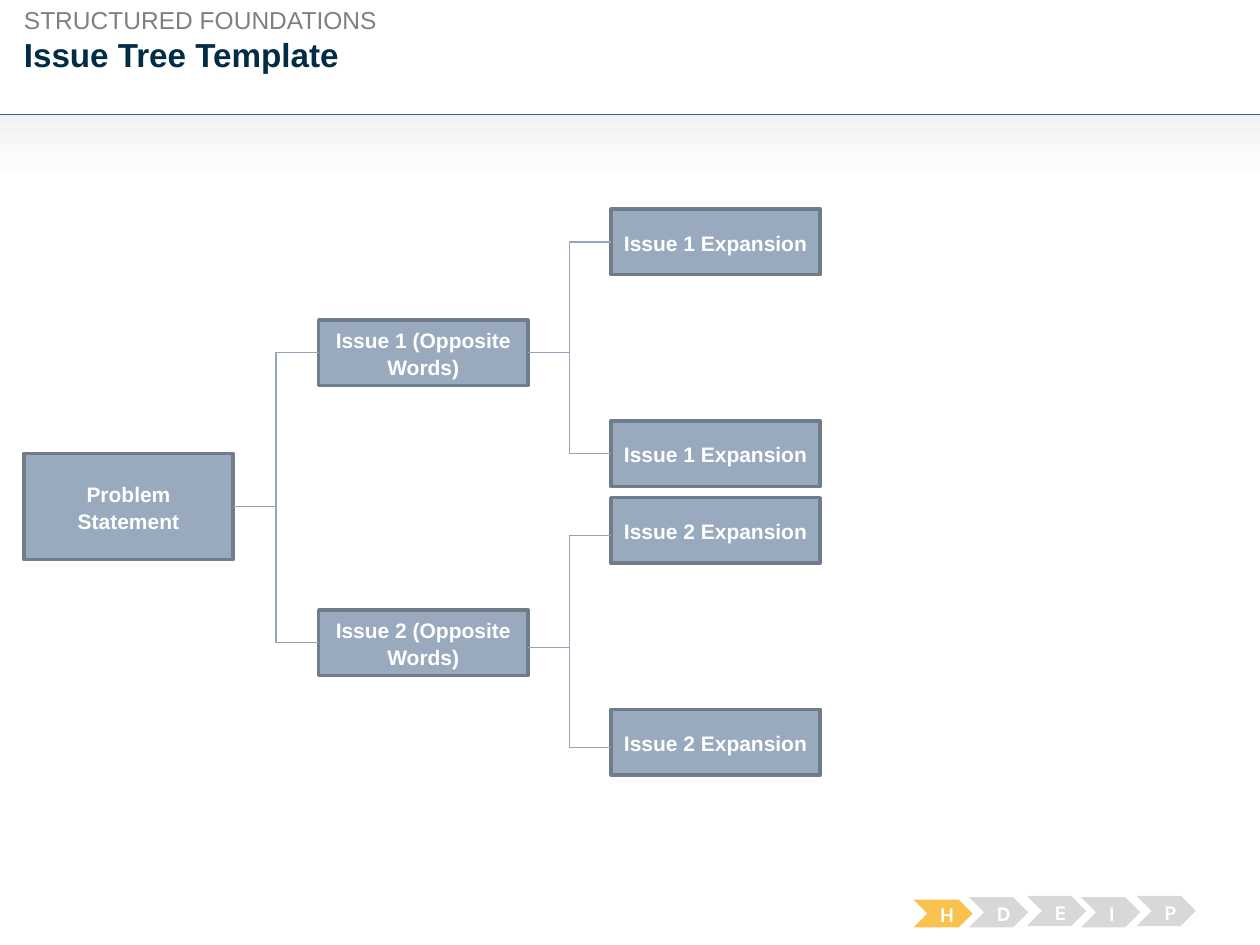
from dataclasses import dataclass

from lxml import etree
from pptx import Presentation
from pptx.dml.color import RGBColor
from pptx.enum.shapes import MSO_CONNECTOR, MSO_SHAPE
from pptx.enum.text import MSO_ANCHOR, PP_ALIGN
from pptx.oxml.ns import qn
from pptx.util import Inches, Pt

RECTANGLE = MSO_SHAPE.RECTANGLE
CHEVRON = MSO_SHAPE.CHEVRON
STRAIGHT = MSO_CONNECTOR.STRAIGHT
ELBOW = MSO_CONNECTOR.ELBOW
MIDDLE = MSO_ANCHOR.MIDDLE
CENTER = PP_ALIGN.CENTER
LEFT = PP_ALIGN.LEFT

BOX_WIDTH = 1.66
BOX_HEIGHT = 0.52
ROOT_LEFT, ISSUE_LEFT, EXPANSION_LEFT = 0.19, 2.53, 4.85
STEP_WIDTH = 0.47


@dataclass
class Node:
    """A labelled box of the issue tree."""

    label: str
    left: float
    top: float
    height: float = BOX_HEIGHT

    @property
    def right(self) -> float:
        """Return the right edge."""
        return self.left + BOX_WIDTH

    @property
    def middle(self) -> float:
        """Return the vertical centre."""
        return self.top + self.height / 2


@dataclass
class Branch:
    """A parent box, its children and the offsets of the link ends."""

    parent: Node
    children: list[Node]
    start_drop: float = 0
    end_drop: float = 0


@dataclass
class Step:
    """One chevron of the progress tracker."""

    letter: str
    left: float
    top: float
    height: float = 0.24
    color: str = "D8D8D8"


def rgb(color: str) -> RGBColor:
    """Convert a hex string to a colour."""
    return RGBColor.from_string(color)


def write_text(shape, text: str, size: float, color: str, font: str = "Arial",
               bold: bool = True, alignment=CENTER) -> None:
    """Write one formatted run into a shape."""
    shape.text_frame.word_wrap = True
    paragraph = shape.text_frame.paragraphs[0]
    paragraph.alignment = alignment
    paragraph.line_spacing = 1.07
    run = paragraph.add_run()
    run.text = text
    run.font.name = font
    run.font.size = Pt(size)
    run.font.bold = bold
    run.font.color.rgb = rgb(color)


def add_heading(slide, text: str, top: float, width: float, height: float,
                size: float, color: str, bold: bool) -> None:
    """Add a left-aligned heading without insets."""
    shape = slide.shapes.add_textbox(
        Inches(0.19), Inches(top), Inches(width), Inches(height))
    frame = shape.text_frame
    frame.margin_left = frame.margin_top = frame.margin_right = frame.margin_bottom = 0
    write_text(shape, text, size, color, bold=bold, alignment=LEFT)


def add_shape(slide, kind, left: float, top: float, width: float, height: float):
    """Add a preset shape without a shadow or an outline."""
    shape = slide.shapes.add_shape(
        kind, Inches(left), Inches(top), Inches(width), Inches(height))
    shape.shadow.inherit = False
    shape.line.fill.background()
    return shape


def add_connector(slide, kind, start: tuple[float, float],
                  end: tuple[float, float], color: str) -> None:
    """Add a thin connector without a shadow."""
    connector = slide.shapes.add_connector(
        kind, *(Inches(length) for length in (*start, *end)))
    connector.line.color.rgb = rgb(color)
    connector.line.width = Pt(0.75)
    properties = connector._element.find(qn("p:spPr"))
    etree.SubElement(properties, qn("a:effectLst"))


def add_header(slide) -> None:
    """Add the headings, the gradient band and the rule."""
    add_heading(slide, "Issue Tree Template", 0.25, 9.43, 0.33, 19, "002C46", True)
    add_heading(slide, "STRUCTURED FOUNDATIONS", 0.02, 2.84, 0.24, 14, "808080", False)
    band = add_shape(slide, RECTANGLE, 0, 0.91, 10, 0.52)
    band.fill.gradient()
    band.fill.gradient_angle = 270
    for stop, color in zip(band.fill.gradient_stops, ("F2F2F2", "FFFFFF")):
        stop.color.rgb = rgb(color)
    add_connector(slide, STRAIGHT, (0, 0.91), (10, 0.91), "406085")


def add_step(slide, step: Step) -> None:
    """Add a tracker chevron with its letter."""
    shape = add_shape(slide, CHEVRON, step.left, step.top, STEP_WIDTH, step.height)
    shape.fill.solid()
    shape.fill.fore_color.rgb = rgb(step.color)
    shape.text_frame.vertical_anchor = MIDDLE
    write_text(shape, step.letter, 12, "FFFFFF", font="Karla")


def add_node(slide, node: Node) -> None:
    """Add a tree box."""
    shape = add_shape(slide, RECTANGLE, node.left, node.top, BOX_WIDTH, node.height)
    shape.fill.solid()
    shape.fill.fore_color.rgb = rgb("99AABE")
    shape.line.color.rgb = rgb("6F7C8A")
    shape.line.width = Pt(2)
    shape.text_frame.vertical_anchor = MIDDLE
    write_text(shape, node.label, 12, "FFFFFF")


def add_branch(slide, branch: Branch) -> None:
    """Add the children of a box and the links to them."""
    start = (branch.parent.right, branch.parent.middle + branch.start_drop)
    for child in branch.children:
        add_node(slide, child)
        end = (child.left, child.middle + branch.end_drop)
        add_connector(slide, ELBOW, start, end, "94A5B9")


def main() -> None:
    """Build and save the slide."""
    presentation = Presentation()
    presentation.slide_width = Inches(10)
    presentation.slide_height = Inches(7.5)
    slide = presentation.slides.add_slide(presentation.slide_layouts[6])
    add_header(slide)

    steps = [
        Step("H", 7.25, 7.14, 0.22, "FBC14E"),
        Step("D", 7.69, 7.12),
        Step("E", 8.15, 7.11),
        Step("I", 8.58, 7.12),
        Step("P", 9.02, 7.11),
    ]
    for step in steps:
        add_step(slide, step)

    problem = Node("Problem Statement", ROOT_LEFT, 3.6, 0.84)
    issues = [Node(f"Issue {number} (Opposite Words)", ISSUE_LEFT, top)
              for number, top in ((1, 2.54), (2, 4.84))]
    first, second = (
        [Node(f"Issue {number} Expansion", EXPANSION_LEFT, top) for top in tops]
        for number, tops in ((1, (1.66, 3.34)), (2, (3.95, 5.63))))
    branches = [
        Branch(problem, issues),
        Branch(issues[0], first),
        Branch(issues[1], second, 0.04, 0.04),
    ]
    add_node(slide, problem)
    for branch in branches:
        add_branch(slide, branch)
    presentation.save("out.pptx")


if __name__ == "__main__":
    main()
